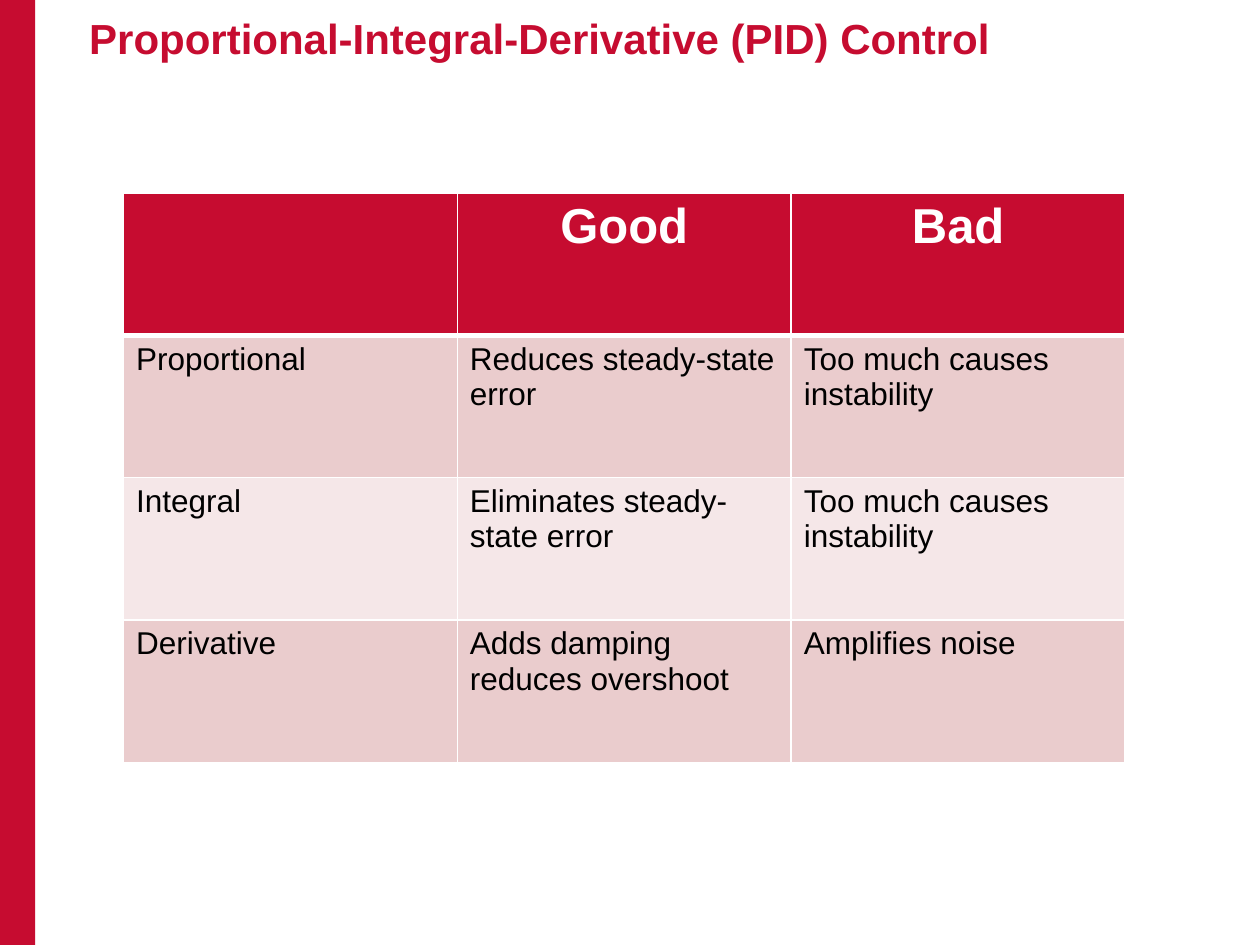
from lxml.etree import SubElement
from pptx import Presentation
from pptx.dml.color import RGBColor
from pptx.enum.shapes import MSO_SHAPE
from pptx.enum.text import MSO_ANCHOR, PP_ALIGN
from pptx.oxml.ns import qn
from pptx.util import Cm, Pt

TITLE = "Proportional-Integral-Derivative (PID) Control"
ROWS = [
    ("", "Good", "Bad"),
    ("Proportional", "Reduces steady-state error", "Too much causes instability"),
    ("Integral", "Eliminates steady-state error", "Too much causes instability"),
    ("Derivative", "Adds damping reduces overshoot", "Amplifies noise"),
]
COLORS = {
    "red": "C60C30",
    "odd_row": "EACCCD",
    "even_row": "F5E7E8",
    "white": "FFFFFF",
    "black": "000000",
}
FONT = "Arial"
SLIDE_WIDTH, SLIDE_HEIGHT = Cm(25.4), Cm(19.05)
BAR_WIDTH = Cm(0.71)
COLUMN_WIDTH, ROW_HEIGHT = Cm(6.73), Cm(2.87)


def color(name):
    return RGBColor.from_string(COLORS[name])


def style_font(font, size, color_name, bold):
    font.name = FONT
    font.size = Pt(size)
    font.bold = bold
    font.color.rgb = color(color_name)


def add_borders(cell, top, bottom):
    """Draw white cell borders; call before filling, as the fill must come after."""
    properties = cell._tc.get_or_add_tcPr()
    for side, points in (("L", 1), ("R", 1), ("T", top), ("B", bottom)):
        line = SubElement(properties, qn(f"a:ln{side}"), w=str(Pt(points)))
        fill = SubElement(line, qn("a:solidFill"))
        SubElement(fill, qn("a:srgbClr"), val=COLORS["white"])


def add_side_bar(page):
    bar = page.shapes.add_shape(MSO_SHAPE.RECTANGLE, 0, 0, BAR_WIDTH, SLIDE_HEIGHT)
    bar.shadow.inherit = False
    bar.fill.solid()
    bar.fill.fore_color.rgb = color("red")
    bar.line.fill.background()


def add_title(page):
    box = page.shapes.add_textbox(BAR_WIDTH, Cm(0.05), Cm(22.7), Cm(1.42))
    frame = box.text_frame
    frame.word_wrap = True
    frame.vertical_anchor = MSO_ANCHOR.MIDDLE
    frame.text = TITLE
    para = frame.paragraphs[0]
    para._p.get_or_add_pPr().set("marL", str(Cm(0.84)))
    style_font(para.runs[0].font, 24, "red", True)


def add_comparison_table(page):
    row_count, column_count = len(ROWS), len(ROWS[0])
    table = page.shapes.add_table(
        row_count, column_count, Cm(2.49), Cm(3.89),
        COLUMN_WIDTH * column_count, ROW_HEIGHT * row_count).table
    for column in table.columns:
        column.width = COLUMN_WIDTH
    for index, texts in enumerate(ROWS):
        table.rows[index].height = ROW_HEIGHT
        header = index == 0
        fill_name = "red" if header else "odd_row" if index % 2 else "even_row"
        for cell, text in zip(table.rows[index].cells, texts):
            add_borders(cell, top=3 if index == 1 else 1, bottom=3 if header else 1)
            cell.fill.solid()
            cell.fill.fore_color.rgb = color(fill_name)
            cell.text_frame.text = text
            para = cell.text_frame.paragraphs[0]
            para.alignment = PP_ALIGN.CENTER if header else PP_ALIGN.LEFT
            for span in para.runs:
                style_font(span.font, 28 if header else 18,
                           "white" if header else "black", header)


def main():
    deck = Presentation()
    deck.slide_width, deck.slide_height = SLIDE_WIDTH, SLIDE_HEIGHT
    page = deck.slides.add_slide(deck.slide_layouts[6])
    add_side_bar(page)
    add_title(page)
    add_comparison_table(page)
    deck.save("out.pptx")


if __name__ == "__main__":
    main()
